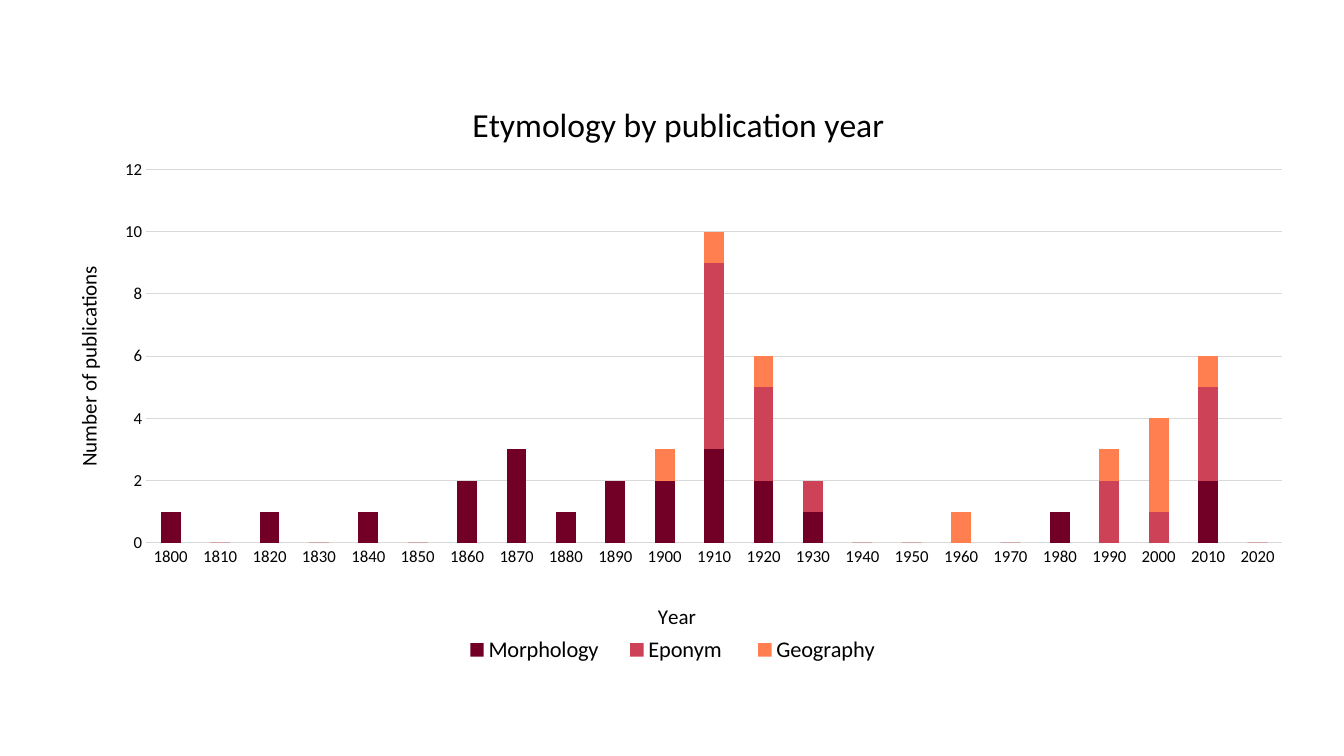
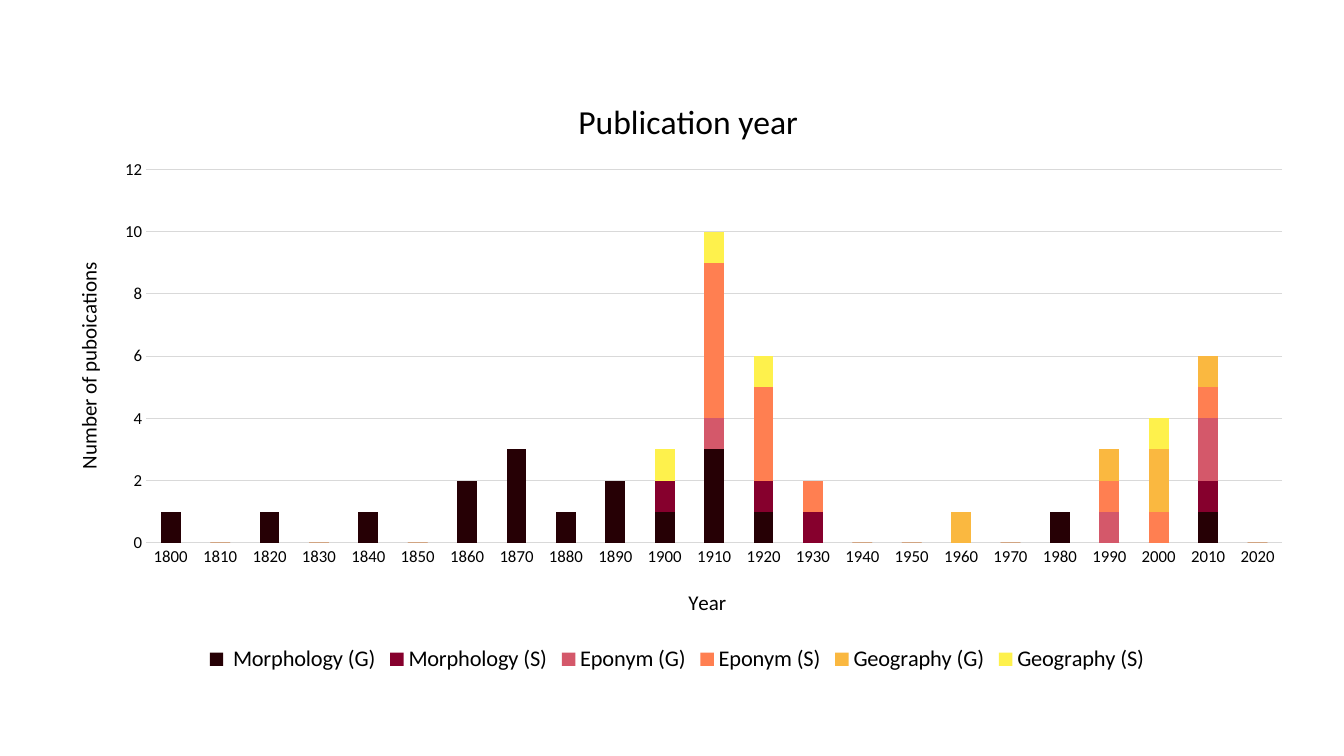
from lxml.etree import SubElement
from pptx import Presentation
from pptx.chart.data import CategoryChartData
from pptx.dml.color import RGBColor
from pptx.enum.chart import XL_CHART_TYPE, XL_LEGEND_POSITION, XL_TICK_MARK
from pptx.oxml.ns import qn
from pptx.util import Cm, Pt

YEARS = [str(year) for year in range(1800, 2021, 10)]
TEXT_COLOR = "000000"
GRID_COLOR = "D9D9D9"
PLOT_AREA = (0.079, 0.15, 0.901, 0.625)


def color(hex_string):
    return RGBColor.from_string(hex_string)


def place(element, index, position, target=None):
    for layout in element.findall(qn("c:layout")):
        element.remove(layout)
    layout = SubElement(element, qn("c:layout"))
    element.insert(index, layout)
    manual = SubElement(layout, qn("c:manualLayout"))
    settings = {"layoutTarget": target} if target else {}
    settings.update(xMode="edge", yMode="edge")
    settings.update(zip("xywh", position))
    for tag, value in settings.items():
        SubElement(manual, qn(f"c:{tag}"), val=str(value))


class ChartDeck:
    """Hold the shared style and the slide that is being filled."""

    def __init__(self):
        self.presentation = Presentation()
        self.presentation.slide_width = Cm(33.87)
        self.presentation.slide_height = Cm(19.05)
        self.slide = None

    def add_slide(self):
        layout = self.presentation.slide_layouts[6]
        self.slide = self.presentation.slides.add_slide(layout)

    def style_font(self, font, size):
        settings = {"name": "Calibri", "size": Pt(size), "bold": False}
        for name, value in settings.items():
            setattr(font, name, value)
        font.color.rgb = color(TEXT_COLOR)

    def style_line(self, line):
        line.color.rgb = color(GRID_COLOR)
        line.width = Pt(0.75)

    def add_title(self, title, text, size, position, rotation=0):
        frame = title.text_frame
        frame.text = text
        self.style_font(frame.paragraphs[0].runs[0].font, size)
        body = frame._txBody.find(qn("a:bodyPr"))
        body.set("rot", str(rotation * 60000))
        body.set("vert", "horz")
        place(title._element, 1, position)

    def style_axes(self, chart):
        for axis in (chart.category_axis, chart.value_axis):
            axis.major_tick_mark = axis.minor_tick_mark = XL_TICK_MARK.NONE
            self.style_font(axis.tick_labels.font, 12)
        self.style_line(chart.category_axis.format.line)
        value_axis = chart.value_axis
        settings = {"minimum_scale": 0, "maximum_scale": 12,
                    "major_unit": 2, "has_major_gridlines": True}
        for name, value in settings.items():
            setattr(value_axis, name, value)
        value_axis.format.line.fill.background()
        self.style_line(value_axis.major_gridlines.format.line)

    def add_legend(self, chart, position):
        chart.has_legend = True
        legend = chart.legend
        legend.position = XL_LEGEND_POSITION.BOTTOM
        legend.include_in_layout = False
        self.style_font(legend.font, 16)
        if position:
            place(legend._element, 1, position)

    def add_stacked_columns(self, series, title, year_title, count_title, legend=None):
        data = CategoryChartData()
        data.categories = YEARS
        for name, _, counts in series:
            data.add_series(name, counts)
        frame = self.slide.shapes.add_chart(
            XL_CHART_TYPE.COLUMN_STACKED,
            Cm(1.17), Cm(2.01), Cm(31.78), Cm(15.06), data)
        chart = frame.chart
        self.style_font(chart.font, 10)
        plot = chart.plots[0]
        settings = {"gap_width": 150, "overlap": 100, "vary_by_categories": False}
        for name, value in settings.items():
            setattr(plot, name, value)
        for column, (_, fill, _) in zip(plot.series, series):
            column.format.fill.solid()
            column.format.fill.fore_color.rgb = color(fill)
        self.style_axes(chart)
        chart.has_title = True
        self.add_title(chart.chart_title, title[0], 24, title[1])
        self.add_title(chart.category_axis.axis_title, "Year", 15, year_title)
        self.add_title(chart.value_axis.axis_title, count_title[0], 15,
                       count_title[1], rotation=-90)
        self.add_legend(chart, legend)
        place(plot._element.getparent(), 0, PLOT_AREA, "inner")


ETYMOLOGY = [
    ("Morphology", "720026",
     [1, 0, 1, 0, 1, 0, 2, 3, 1, 2, 2, 3, 2, 1, 0, 0, 0, 0, 1, 0, 0, 2, 0]),
    ("Eponym ", "CE4257",
     [0, 0, 0, 0, 0, 0, 0, 0, 0, 0, 0, 6, 3, 1, 0, 0, 0, 0, 0, 2, 1, 3, 0]),
    ("Geography", "FF7F51",
     [0, 0, 0, 0, 0, 0, 0, 0, 0, 0, 1, 1, 1, 0, 0, 0, 1, 0, 0, 1, 3, 1, 0]),
]
ETYMOLOGY_BY_RANK = [
    (" Morphology (G)", "260005",
     [1, 0, 1, 0, 1, 0, 2, 3, 1, 2, 1, 3, 1, 0, 0, 0, 0, 0, 1, 0, 0, 1, 0]),
    ("Morphology (S)", "86002D",
     [0, 0, 0, 0, 0, 0, 0, 0, 0, 0, 1, 0, 1, 1, 0, 0, 0, 0, 0, 0, 0, 1, 0]),
    ("Eponym (G)", "D4586A",
     [0, 0, 0, 0, 0, 0, 0, 0, 0, 0, 0, 1, 0, 0, 0, 0, 0, 0, 0, 1, 0, 2, 0]),
    ("Eponym (S)", "FF7F51",
     [0, 0, 0, 0, 0, 0, 0, 0, 0, 0, 0, 5, 3, 1, 0, 0, 0, 0, 0, 1, 1, 1, 0]),
    ("Geography (G)", "FAB840",
     [0, 0, 0, 0, 0, 0, 0, 0, 0, 0, 0, 0, 0, 0, 0, 0, 1, 0, 0, 1, 2, 1, 0]),
    ("Geography (S)", "FEF14C",
     [0, 0, 0, 0, 0, 0, 0, 0, 0, 0, 1, 1, 1, 0, 0, 0, 0, 0, 0, 0, 1, 0, 0]),
]


def main():
    deck = ChartDeck()
    deck.add_slide()
    deck.add_stacked_columns(
        ETYMOLOGY,
        title=("Etymology by publication year", (0.333, 0.027)),
        year_title=(0.482, 0.867),
        count_title=("Number of publications", (0.019, 0.305)),
        legend=(0.317, 0.924, 0.359, 0.06))
    deck.add_slide()
    deck.add_stacked_columns(
        ETYMOLOGY_BY_RANK,
        title=("Publication year", (0.417, 0.022)),
        year_title=(0.506, 0.844),
        count_title=("Number of puboications", (0.019, 0.299)))
    deck.presentation.save("out.pptx")


if __name__ == "__main__":
    main()
